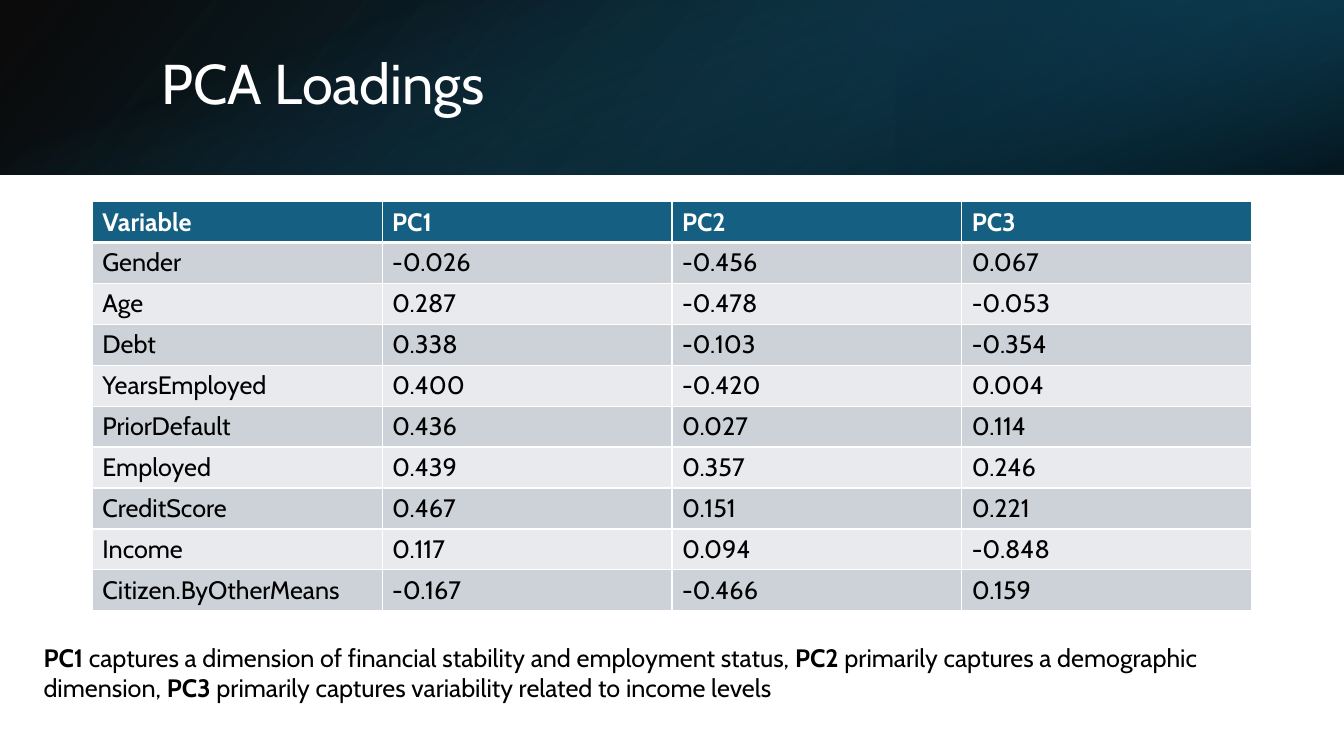
from dataclasses import dataclass

from pptx import Presentation
from pptx.dml.color import RGBColor
from pptx.enum.shapes import MSO_SHAPE as Preset
from pptx.enum.text import MSO_ANCHOR as Anchor, MSO_AUTO_SIZE as AutoSize, PP_ALIGN as Align
from pptx.oxml import parse_xml
from pptx.oxml.ns import nsdecls, qn
from pptx.slide import Slide
from pptx.text.text import Font
from pptx.util import Emu, Pt

EMU_PER_PX = 9525


@dataclass(frozen=True)
class Theme:
    font: str = "Cabin"
    title_size: int = 40
    body_size: int = 18
    white: str = "FFFFFF"
    black: str = "000000"
    accent: str = "156082"
    header_blue: str = "104862"
    deep_blue: str = "0B3041"
    row_dark: str = "CCD2D8"
    row_light: str = "E8EAED"


@dataclass(frozen=True)
class Box:
    left: int
    top: int
    width: int
    height: int

    def emu(self) -> tuple[Emu, ...]:
        return tuple(px(n) for n in (self.left, self.top, self.width, self.height))


@dataclass(frozen=True)
class Stop:
    position: int
    color: str
    opacity: int = 100


@dataclass(frozen=True)
class Band:
    box: Box
    stops: tuple[Stop, ...]
    angle: int
    rotation: int = 0
    flipped: bool = False


THEME = Theme()

HEADER_BANDS = (
    Band(Box(0, 0, 1280, 166),
         (Stop(0, THEME.black, 96), Stop(100, THEME.header_blue)), 140, flipped=True),
    Band(Box(853, 0, 427, 166),
         (Stop(19, THEME.deep_blue, 68), Stop(100, THEME.accent, 79)), 320, 180, True),
    Band(Box(557, -557, 166, 1280),
         (Stop(23, THEME.accent, 0), Stop(99, THEME.black, 74)), 340, 90),
)

TITLE_BOX = Box(144, 36, 1054, 92)
TABLE_BOX = Box(88, 192, 1104, 390)
SUMMARY_BOX = Box(32, 607, 1167, 68)

LOADINGS = (
    ("Variable", "PC1", "PC2", "PC3"),
    ("Gender", "-0.026", "-0.456", "0.067"),
    ("Age", "0.287", "-0.478", "-0.053"),
    ("Debt", "0.338", "-0.103", "-0.354"),
    ("YearsEmployed", "0.400", "-0.420", "0.004"),
    ("PriorDefault", "0.436", "0.027", "0.114"),
    ("Employed", "0.439", "0.357", "0.246"),
    ("CreditScore", "0.467", "0.151", "0.221"),
    ("Income", "0.117", "0.094", "-0.848"),
    ("Citizen.ByOtherMeans", "-0.167", "-0.466", "0.159"),
)

SUMMARY = (
    ("PC1 ", "captures a dimension of financial stability and employment status, "),
    ("PC2 ", "primarily captures a demographic dimension, "),
    ("PC3 ", "primarily captures variability related to income levels"),
)


def px(length: int) -> Emu:
    return Emu(length * EMU_PER_PX)


def style(font: Font, size: int, color: str, bold: bool = False) -> None:
    font.name = THEME.font
    font.size = Pt(size)
    font.bold = bold
    font.color.rgb = RGBColor.from_string(color)


def draw_band(slide: Slide, band: Band) -> None:
    shape = slide.shapes.add_shape(Preset.RECTANGLE, *band.box.emu())
    shape.rotation = band.rotation
    shape.shadow.inherit = False
    shape.line.fill.background()
    properties = shape._element.spPr
    if band.flipped:
        properties.find(qn("a:xfrm")).set("flipH", "1")
    stops = "".join(
        f'<a:gs pos="{stop.position * 1000}"><a:srgbClr val="{stop.color}">'
        f'<a:alpha val="{stop.opacity * 1000}"/></a:srgbClr></a:gs>'
        for stop in band.stops)
    properties.find(qn("a:prstGeom")).addnext(parse_xml(
        f'<a:gradFill {nsdecls("a")} rotWithShape="1"><a:gsLst>{stops}</a:gsLst>'
        f'<a:lin ang="{band.angle * 60000}" scaled="0"/></a:gradFill>'))


def draw_title(slide: Slide) -> None:
    title = slide.shapes.title
    slide.shapes._spTree.append(title._element)  # in front of the header bands
    title.left, title.top, title.width, title.height = TITLE_BOX.emu()
    frame = title.text_frame
    frame.text = "PCA Loadings"
    frame.vertical_anchor = Anchor.MIDDLE
    heading = frame.paragraphs[0]
    heading.alignment = Align.LEFT
    heading.line_spacing = 0.9
    style(heading.runs[0].font, THEME.title_size, THEME.white)


def add_borders(cell, row: int) -> None:
    widths = {"L": 1, "R": 1, "T": 3 if row == 1 else 1, "B": 3 if row == 0 else 1}
    for index, (side, width) in enumerate(widths.items()):
        cell._tc.get_or_add_tcPr().insert(index, parse_xml(
            f'<a:ln{side} {nsdecls("a")} w="{Pt(width)}"><a:solidFill>'
            f'<a:srgbClr val="{THEME.white}"/></a:solidFill></a:ln{side}>'))


def draw_loadings(slide: Slide) -> None:
    rows, columns = len(LOADINGS), len(LOADINGS[0])
    table = slide.shapes.add_table(rows, columns, *TABLE_BOX.emu()).table
    for row, values in enumerate(LOADINGS):
        is_header = row == 0
        fill = THEME.accent if is_header else (THEME.row_light, THEME.row_dark)[row % 2]
        color = THEME.white if is_header else THEME.black
        for column, value in enumerate(values):
            cell = table.cell(row, column)
            cell.text = value
            style(cell.text_frame.paragraphs[0].runs[0].font, THEME.body_size, color, is_header)
            cell.fill.solid()
            cell.fill.fore_color.rgb = RGBColor.from_string(fill)
            add_borders(cell, row)


def draw_summary(slide: Slide) -> None:
    frame = slide.shapes.add_textbox(*SUMMARY_BOX.emu()).text_frame
    frame.word_wrap = True
    frame.auto_size = AutoSize.SHAPE_TO_FIT_TEXT
    for component, meaning in SUMMARY:
        for text, bold in ((component, True), (meaning, False)):
            run = frame.paragraphs[0].add_run()
            run.text = text
            style(run.font, THEME.body_size, THEME.black, bold)


def main() -> None:
    deck = Presentation()
    deck.slide_width, deck.slide_height = px(1280), px(720)
    slide = deck.slides.add_slide(deck.slide_layouts.get_by_name("Title Only"))

    # Header
    for band in HEADER_BANDS:
        draw_band(slide, band)
    draw_title(slide)

    # Loadings and their reading
    draw_loadings(slide)
    draw_summary(slide)

    deck.save("out.pptx")


if __name__ == "__main__":
    main()
